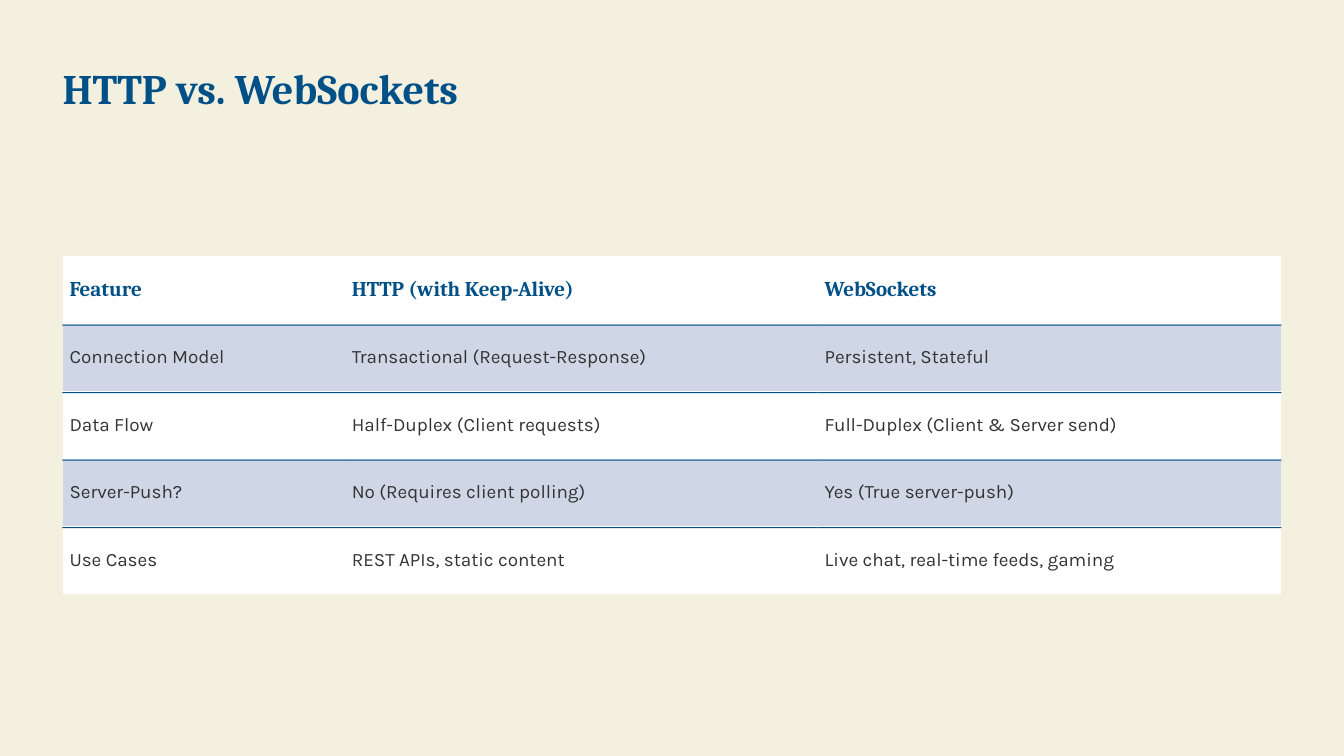
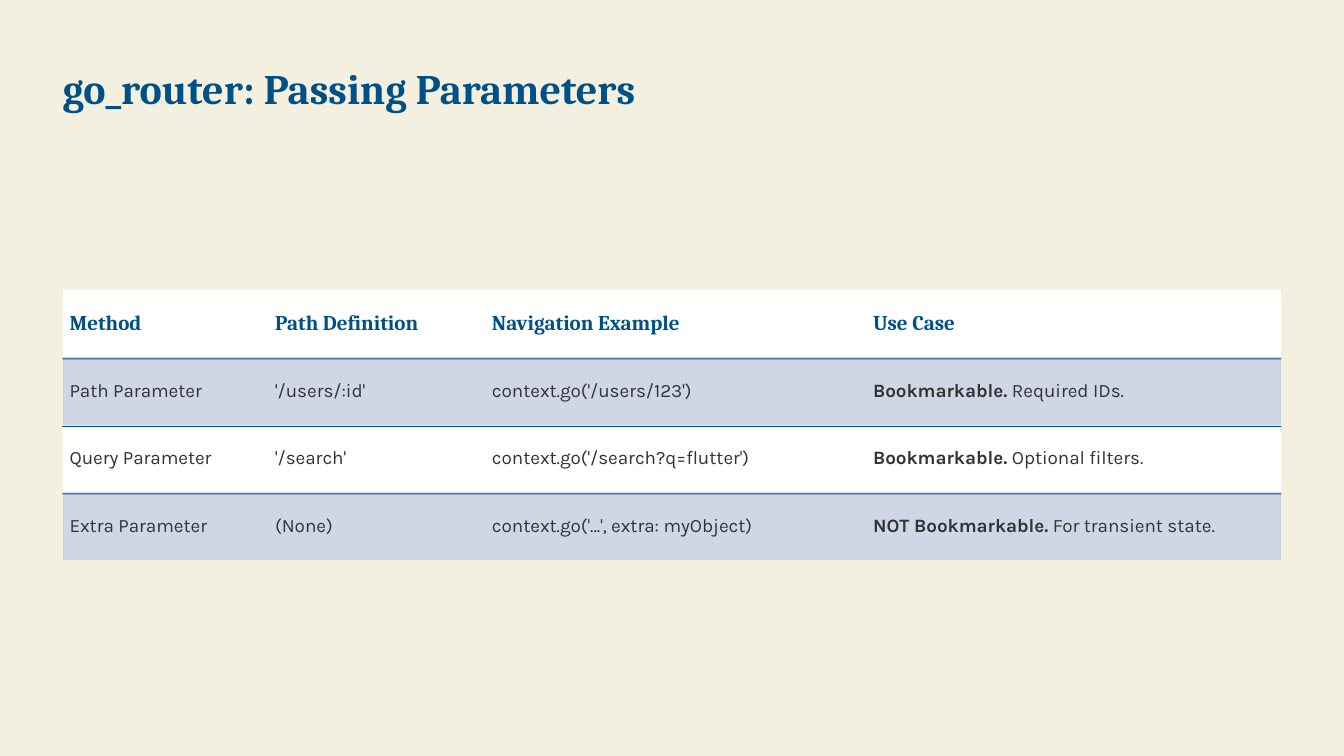
"""Build two comparison-table slides in a shared style."""
from dataclasses import dataclass

from pptx import Presentation, util as u
from pptx.dml import color
from pptx.enum import shapes, text
from pptx.oxml import ns


@dataclass(frozen=True)
class Theme:
    paper: str = "F3F0DF"
    accent: str = "005088"
    body: str = "333333"
    bands: tuple = ("FFFFFF", "CFD7E7")
    serif: str = "Cambria"
    sans: str = "Karla"
    title_size: float = 30
    head_size: float = 15
    body_size: float = 13.5
    no_grid: str = "{2D5ABB26-0587-4C30-8999-92F81FD0307C}"


def apply(target, values):
    for name, value in values.items():
        setattr(target, name, value)


def paint(fill, rgb):
    fill.solid()
    fill.fore_color.rgb = color.RGBColor.from_string(rgb)


class Deck:
    LEFT = 0.62
    ROW = 0.67
    RULE = 0.01
    MIDDLE = 4.215

    def __init__(self, theme):
        self.theme = theme
        self.prs = Presentation()
        apply(self.prs, {"slide_width": u.Inches(13.33), "slide_height": u.Inches(7.5)})
        self.title_font = {"name": theme.serif, "size": u.Pt(theme.title_size), "bold": True}
        self.head_font = {**self.title_font, "size": u.Pt(theme.head_size)}
        self.body_font = {"name": theme.sans, "size": u.Pt(theme.body_size), "bold": False}

    def slide(self, title):
        self.s = self.prs.slides.add_slide(self.prs.slide_layouts[6])
        paint(self.s.background.fill, self.theme.paper)
        self.title(title)

    def run(self, p, words, font, rgb):
        r = p.add_run()
        r.text = words
        apply(r.font, font)
        r.font.color.rgb = color.RGBColor.from_string(rgb)

    def title(self, words):
        box = (u.Inches(n) for n in (self.LEFT, 0.62, 12.69, 0.52))
        tf = self.s.shapes.add_textbox(*box).text_frame
        margins = dict.fromkeys(("margin_left", "margin_top", "margin_right", "margin_bottom"), 0)
        apply(tf, {**margins, "word_wrap": True,
                   "auto_size": text.MSO_AUTO_SIZE.SHAPE_TO_FIT_TEXT})
        self.run(tf.paragraphs[0], words, self.title_font, self.theme.accent)

    def rule(self, left, top, width):
        box = (u.Inches(n) for n in (left, top, width, self.RULE))
        sp = self.s.shapes.add_shape(shapes.MSO_SHAPE.RECTANGLE, *box)
        sp.shadow.inherit = False
        paint(sp.fill, self.theme.accent)
        sp.line.fill.background()

    def cell(self, cell, content, row):
        apply(cell, {"margin_left": u.Inches(0.07), "margin_right": u.Inches(0.07),
                     "margin_top": u.Inches(0.03), "margin_bottom": u.Inches(0.03),
                     "vertical_anchor": text.MSO_ANCHOR.MIDDLE})
        paint(cell.fill, self.theme.bands[row % 2])
        p = cell.text_frame.paragraphs[0]
        if row == 0:
            self.run(p, content, self.head_font, self.theme.accent)
            return
        strong, plain = content if isinstance(content, tuple) else ("", content)
        if strong:
            self.run(p, strong, {**self.body_font, "bold": True}, self.theme.body)
        self.run(p, plain, self.body_font, self.theme.body)

    def table(self, widths, rows):
        height = self.ROW * len(rows)
        top = self.MIDDLE - height / 2
        box = (u.Inches(n) for n in (self.LEFT, top, sum(widths), height))
        frame = self.s.shapes.add_table(len(rows), len(widths), *box)
        frame.element.find(".//" + ns.qn("a:tableStyleId")).text = self.theme.no_grid
        table = frame.table
        for column, width in zip(table.columns, widths):
            column.width = u.Inches(width)
        for i, row in enumerate(rows):
            table.rows[i].height = u.Inches(self.ROW)
            for j, content in enumerate(row):
                self.cell(table.cell(i, j), content, i)
        for i in range(1, len(rows)):
            for j, width in enumerate(widths):
                self.rule(self.LEFT + sum(widths[:j]), top + i * self.ROW + self.RULE, width)


def main():
    deck = Deck(Theme())

    deck.slide("HTTP vs. WebSockets")
    deck.table([2.8, 4.69, 4.6], [
        ("Feature", "HTTP (with Keep-Alive)", "WebSockets"),
        ("Connection Model", "Transactional (Request-Response)", "Persistent, Stateful"),
        ("Data Flow", "Half-Duplex (Client requests)", "Full-Duplex (Client & Server send)"),
        ("Server-Push?", "No (Requires client polling)", "Yes (True server-push)"),
        ("Use Cases", "REST APIs, static content", "Live chat, real-time feeds, gaming"),
    ])

    deck.slide("go_router: Passing Parameters")
    deck.table([2.04, 2.15, 3.78, 4.12], [
        ("Method", "Path Definition", "Navigation Example", "Use Case"),
        ("Path Parameter", "'/users/:id'", "context.go('/users/123')",
         ("Bookmarkable.", " Required IDs.")),
        ("Query Parameter", "'/search'", "context.go('/search?q=flutter')",
         ("Bookmarkable.", " Optional filters.")),
        ("Extra Parameter", "(None)", "context.go('...', extra: myObject)",
         ("NOT Bookmarkable.", " For transient state.")),
    ])

    deck.prs.save("out.pptx")


if __name__ == "__main__":
    main()
